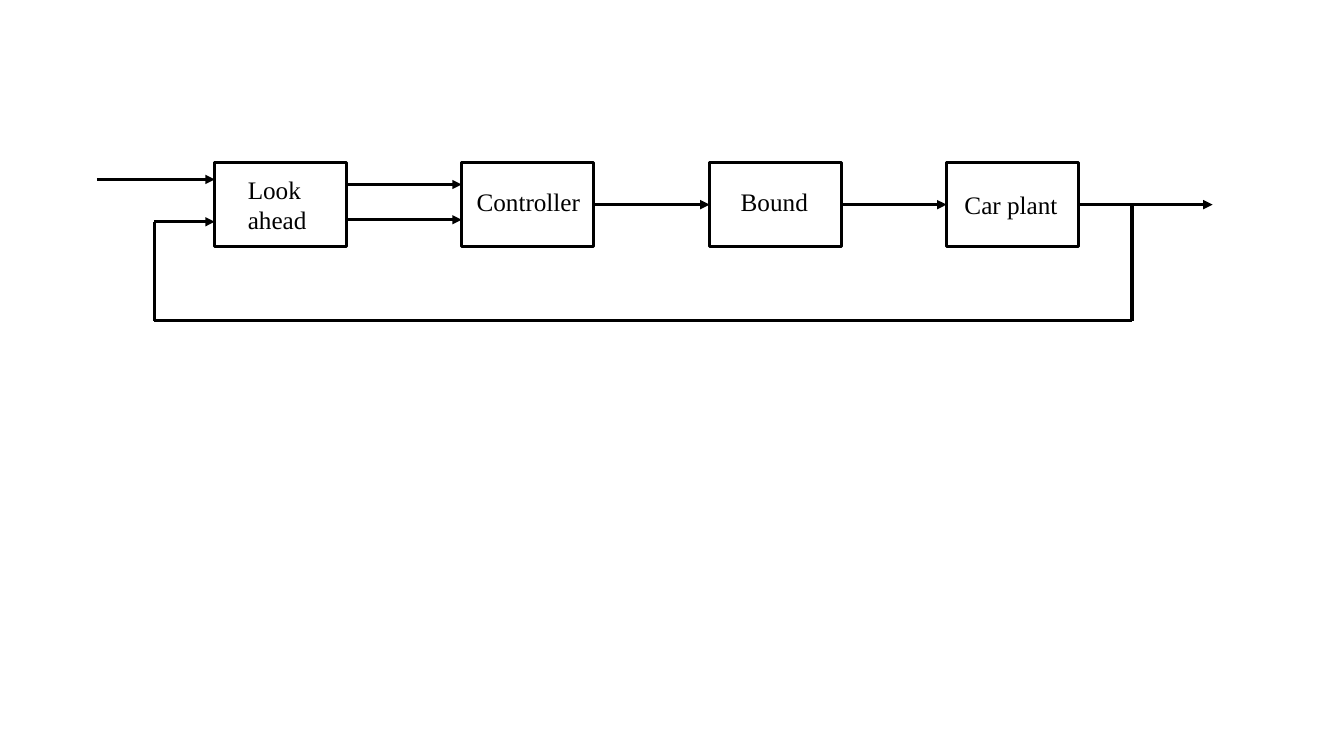
from itertools import pairwise

from lxml.etree import SubElement
from pptx import Presentation
from pptx.dml.color import RGBColor
from pptx.enum.shapes import MSO_AUTO_SHAPE_TYPE, MSO_CONNECTOR
from pptx.enum.text import MSO_AUTO_SIZE
from pptx.oxml.ns import qn
from pptx.util import Inches, Pt

COLOURS = {"ink": "000000", "paper": "FFFFFF"}
CELL = 0.1
COLUMNS, ROWS = 133.33, 75
LEFT, RIGHT = 1, 3


def grid(cells):
    """Turn a count of grid cells into a length."""
    return Inches(cells * CELL)


class Diagram:
    """Hold the block diagram's style and its current slide."""

    font = "Times New Roman"
    size = Pt(18)
    stroke = Pt(2.25)

    def __init__(self, page):
        """Start drawing on a page."""
        self.page = page
        fill = page.background.fill
        fill.solid()
        fill.fore_color.rgb = self.colour("paper")

    def colour(self, name):
        """Look up a named colour."""
        return RGBColor.from_string(COLOURS[name])

    def outline(self, line):
        """Give a line the diagram's stroke."""
        line.color.rgb = self.colour("ink")
        line.width = self.stroke

    def block(self, column, row, width, height):
        """Draw an unfilled block."""
        box = self.page.shapes.add_shape(
            MSO_AUTO_SHAPE_TYPE.RECTANGLE, *map(grid, (column, row, width, height)))
        box.shadow.inherit = False
        box.fill.background()
        self.outline(box.line)
        return box

    def label(self, text, column, row, width, height):
        """Write a block's name."""
        box = self.page.shapes.add_textbox(*map(grid, (column, row, width, height)))
        frame = box.text_frame
        frame.word_wrap = True
        frame.auto_size = MSO_AUTO_SIZE.SHAPE_TO_FIT_TEXT
        span = frame.paragraphs[0].add_run()
        span.text = text
        span.font.name = self.font
        span.font.size = self.size
        span.font.color.rgb = self.colour("ink")

    def signal(self, start, end, arrow=True, source=None, target=None):
        """Draw a signal line, joined to the blocks given."""
        line = self.page.shapes.add_connector(
            MSO_CONNECTOR.STRAIGHT, *map(grid, (*start, *end)))
        if source is not None:
            line.begin_connect(source, RIGHT)
        if target is not None:
            line.end_connect(target, LEFT)
        self.outline(line.line)
        if arrow:
            SubElement(line.line._get_or_add_ln(), qn("a:tailEnd"), type="triangle")
        SubElement(line._element.spPr, qn("a:effectLst"))


def main():
    """Build the control loop slide."""
    deck = Presentation()
    deck.slide_width, deck.slide_height = grid(COLUMNS), grid(ROWS)
    diagram = Diagram(deck.slides.add_slide(deck.slide_layouts[6]))

    top, width, height = 16.1, 13.1, 8.4
    middle = top + height / 2
    look, control, bound, plant = columns = (21.3, 45.8, 70.4, 93.9)
    blocks = [diagram.block(column, top, width, height) for column in columns]

    feedback_row, feedback_column, tap, bottom = 22, 15.3, 112.3, 31.8
    diagram.signal((9.6, 17.8), (look, 17.8))
    for row in (18.3, 21.8):
        diagram.signal((look + width, row), (control, row))
    for left, right in ((1, 2), (2, 3)):
        diagram.signal((columns[left] + width, middle), (columns[right], middle),
                       source=blocks[left], target=blocks[right])
    diagram.signal((plant + width, middle), (120.3, middle), source=blocks[3])

    corners = ((tap, middle), (tap, bottom), (feedback_column, bottom),
               (feedback_column, feedback_row))
    for start, end in pairwise(corners):
        diagram.signal(start, end, arrow=False)
    diagram.signal(corners[-1], (look, feedback_row))

    for text, column, row, label_width, label_height in (
            ("Look ahead", 23.6, 16.8, 11, 7.1),
            ("Controller", 46.3, 18, 13.7, 4),
            ("Bound", 72.5, 18, 13.7, 4),
            ("Car plant", 94.7, 18.3, 13.7, 4)):
        diagram.label(text, column, row, label_width, label_height)

    deck.save("out.pptx")


if __name__ == "__main__":
    main()
